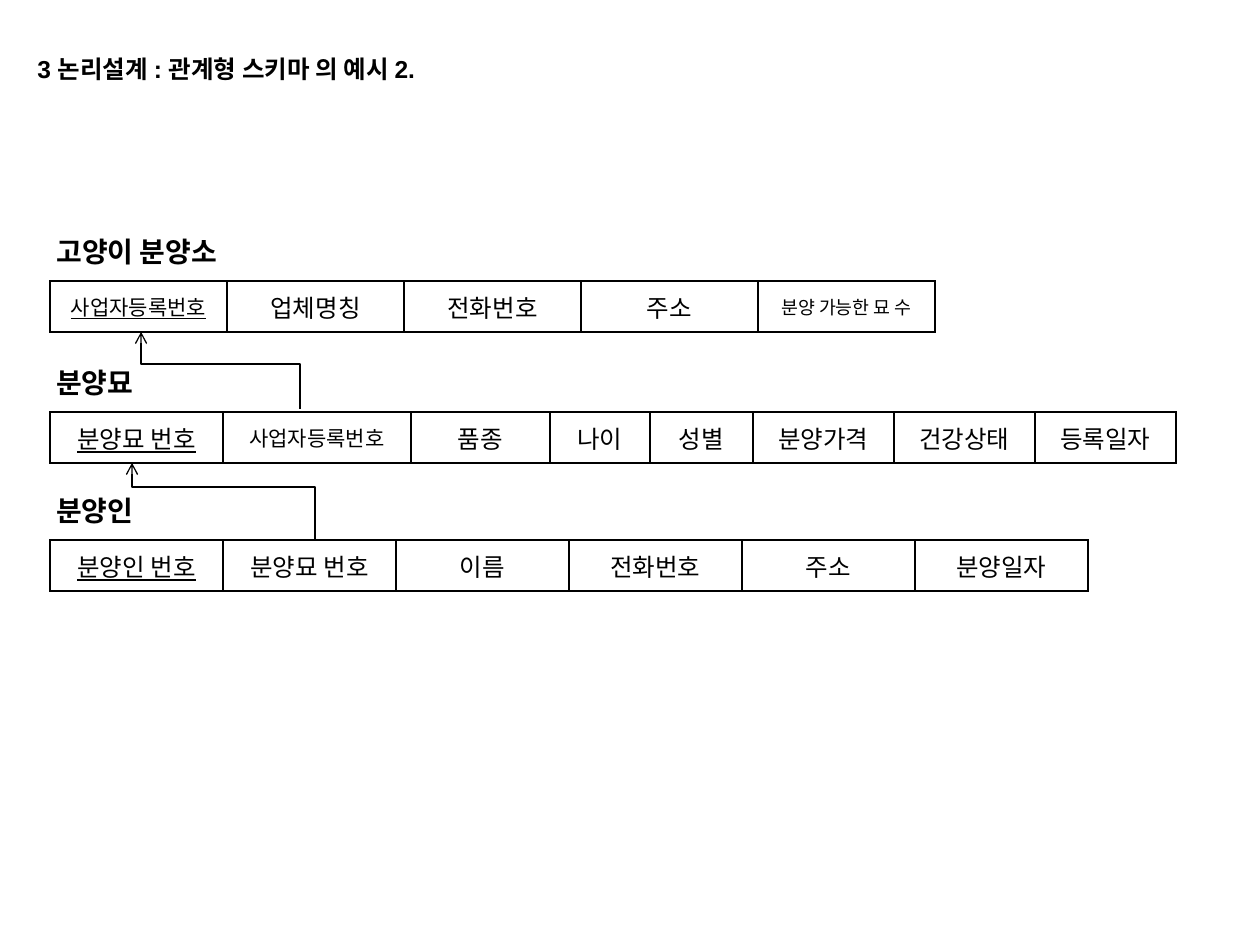
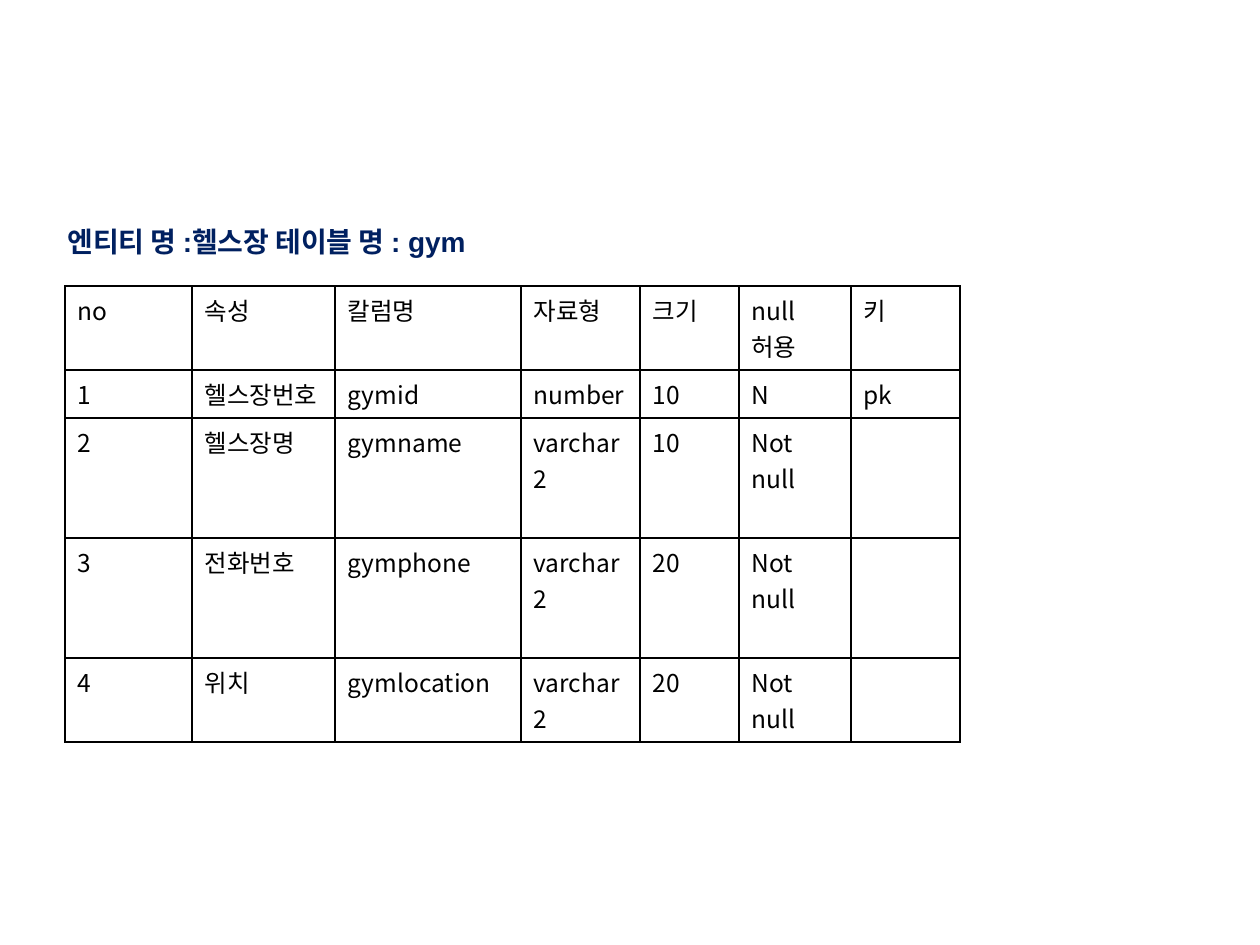
from dataclasses import dataclass

from lxml.etree import SubElement
from pptx import Presentation
from pptx.dml.color import RGBColor
from pptx.enum.shapes import MSO_CONNECTOR
from pptx.enum.text import MSO_ANCHOR, PP_ALIGN
from pptx.oxml.ns import qn
from pptx.slide import Slide
from pptx.table import _Cell
from pptx.text.text import _Paragraph
from pptx.util import Emu, Pt

BLACK = RGBColor(0x00, 0x00, 0x00)
WHITE = RGBColor(0xFF, 0xFF, 0xFF)
NAVY = RGBColor(0x00, 0x20, 0x60)
HANGUL_FONT = "Noto Sans CJK KR"
HEADING_FONT = "Arial"
PX_PER_INCH = 126
TABLE_LEFT = 50
BAND_HEIGHT = 51
LABEL_HEIGHT = 47
LABEL_RISE = 53


@dataclass(frozen=True)
class Field:
    text: str
    width: int
    size: float = 14
    underline: bool = False


@dataclass(frozen=True)
class Relation:
    name: str
    top: int
    label_width: int
    fields: list[Field]


@dataclass(frozen=True)
class Reference:
    start: tuple[int, int]
    end: tuple[int, int]
    bend: int


@dataclass(frozen=True)
class Heading:
    text: str
    left: int
    top: int
    width: int
    height: int
    size: int = 16
    font: str = HEADING_FONT
    color: RGBColor = BLACK
    wrap: bool = True


RELATIONS = [
    Relation("고양이 분양소", 281, 205, [
        Field("사업자등록번호", 177, 12, True),
        Field("업체명칭", 177),
        Field("전화번호", 177),
        Field("주소", 177),
        Field("분양 가능한 묘 수", 177, 10.5),
    ]),
    Relation("분양묘", 412, 111, [
        Field("분양묘 번호", 173, underline=True),
        Field("사업자등록번호", 188, 12),
        Field("품종", 139),
        Field("나이", 100),
        Field("성별", 103),
        Field("분양가격", 141),
        Field("건강상태", 141),
        Field("등록일자", 141),
    ]),
    Relation("분양인", 540, 111, [
        Field("분양인 번호", 173, underline=True),
        *(Field(text, 173) for text in ("분양묘 번호", "이름", "전화번호", "주소", "분양일자")),
    ]),
]
REFERENCES = [
    Reference((315, 540), (132, 463), 487),
    Reference((300, 409), (141, 332), 364),
]
GYM_WIDTHS = [127, 143, 186, 119, 99, 112, 109]
GYM_HEIGHTS = [84, 48, 120, 120, 84]
GYM_ROWS = [
    ["no", "속성", "칼럼명", "자료형", "크기", "null 허용", "키"],
    ["1", "헬스장번호", "gymid", "number", "10", "N", "pk"],
    ["2", "헬스장명", "gymname", "varchar2", "10", "Not null", ""],
    ["3", "전화번호", "gymphone", "varchar2", "20", "Not null", ""],
    ["4", "위치", "gymlocation", "varchar2", "20", "Not null", ""],
]


def px(length: float) -> Emu:
    return Emu(round(length * 914400 / PX_PER_INCH))


def write(paragraph: _Paragraph, text: str, color: RGBColor, formats: dict) -> None:
    run = paragraph.add_run()
    run.text = text
    for attribute, value in formats.items():
        setattr(run.font, attribute, value)
    run.font.color.rgb = color
    SubElement(run.font._element, qn("a:ea"), typeface=HANGUL_FONT)


def draw_heading(slide: Slide, heading: Heading) -> None:
    box = slide.shapes.add_textbox(
        *map(px, (heading.left, heading.top, heading.width, heading.height)))
    frame = box.text_frame
    frame.word_wrap = heading.wrap
    frame.vertical_anchor = MSO_ANCHOR.MIDDLE
    write(frame.paragraphs[0], heading.text, heading.color,
          {"name": heading.font, "size": Pt(heading.size), "bold": True})


def style_cell(cell: _Cell) -> None:
    properties = cell._tc.get_or_add_tcPr()
    for side in ("lnL", "lnR", "lnT", "lnB"):
        border = SubElement(properties, qn(f"a:{side}"), w=str(Pt(1)))
        paint = SubElement(border, qn("a:solidFill"))
        SubElement(paint, qn("a:srgbClr"), val=str(BLACK))
    cell.fill.solid()
    cell.fill.fore_color.rgb = WHITE


def draw_table(slide: Slide, left: int, top: int, heights: list[int],
               rows: list[list[Field]], align: PP_ALIGN, anchor: MSO_ANCHOR) -> None:
    widths = [field.width for field in rows[0]]
    table = slide.shapes.add_table(
        len(rows), len(widths), px(left), px(top), px(sum(widths)), px(sum(heights))).table
    for flag in ("first_row", "horz_banding"):
        setattr(table, flag, False)
    for column, width in zip(table.columns, widths):
        column.width = px(width)
    for row, height, fields in zip(table.rows, heights, rows):
        row.height = px(height)
        for cell, field in zip(row.cells, fields):
            style_cell(cell)
            cell.vertical_anchor = anchor
            paragraph = cell.text_frame.paragraphs[0]
            paragraph.alignment = align
            if field.text:
                write(paragraph, field.text, BLACK,
                      {"name": HANGUL_FONT, "size": Pt(field.size),
                       "underline": field.underline})


def draw_relation(slide: Slide, relation: Relation) -> None:
    draw_table(slide, TABLE_LEFT, relation.top, [BAND_HEIGHT], [relation.fields],
               PP_ALIGN.CENTER, MSO_ANCHOR.MIDDLE)
    draw_heading(slide, Heading(relation.name, 44, relation.top - LABEL_RISE,
                                relation.label_width, LABEL_HEIGHT,
                                font=HANGUL_FONT, wrap=False))


def draw_reference(slide: Slide, reference: Reference) -> None:
    (start_x, start_y), (end_x, end_y) = reference.start, reference.end
    rise, run = start_y - end_y, start_x - end_x
    left = (start_x + end_x - rise) / 2
    top = (start_y + end_y - run) / 2
    arrow = slide.shapes.add_connector(
        MSO_CONNECTOR.ELBOW, px(left), px(top + run), px(left + rise), px(top))
    arrow.line.color.rgb = BLACK
    arrow.line.width = Pt(0.75)
    SubElement(arrow.line._get_or_add_ln(), qn("a:tailEnd"), type="arrow")
    properties = arrow._element.spPr
    SubElement(properties, qn("a:effectLst"))
    properties.find(qn("a:xfrm")).set("rot", str(270 * 60000))
    guides = properties.find(qn("a:prstGeom")).find(qn("a:avLst"))
    share = round((start_y - reference.bend) / rise * 100000)
    SubElement(guides, qn("a:gd"), name="adj1", fmla=f"val {share}")


def main() -> None:
    deck = Presentation()
    deck.slide_width, deck.slide_height = px(1260), px(945)
    blank = deck.slide_layouts[6]

    schema = deck.slides.add_slide(blank)
    draw_heading(schema, Heading("3 논리설계 : 관계형 스키마 의 예시 2.",
                                 25, 18, 1210, 102, size=14))
    for relation in RELATIONS:
        draw_relation(schema, relation)
    for reference in REFERENCES:
        draw_reference(schema, reference)

    gym = deck.slides.add_slide(blank)
    gym_fields = [[Field(text, width) for text, width in zip(row, GYM_WIDTHS)]
                  for row in GYM_ROWS]
    draw_table(gym, 65, 286, GYM_HEIGHTS, gym_fields, PP_ALIGN.LEFT, MSO_ANCHOR.TOP)
    draw_heading(gym, Heading("엔티티 명 :헬스장 테이블 명 : gym",
                              55, 218, 585, LABEL_HEIGHT, color=NAVY))

    deck.save("out.pptx")


if __name__ == "__main__":
    main()
